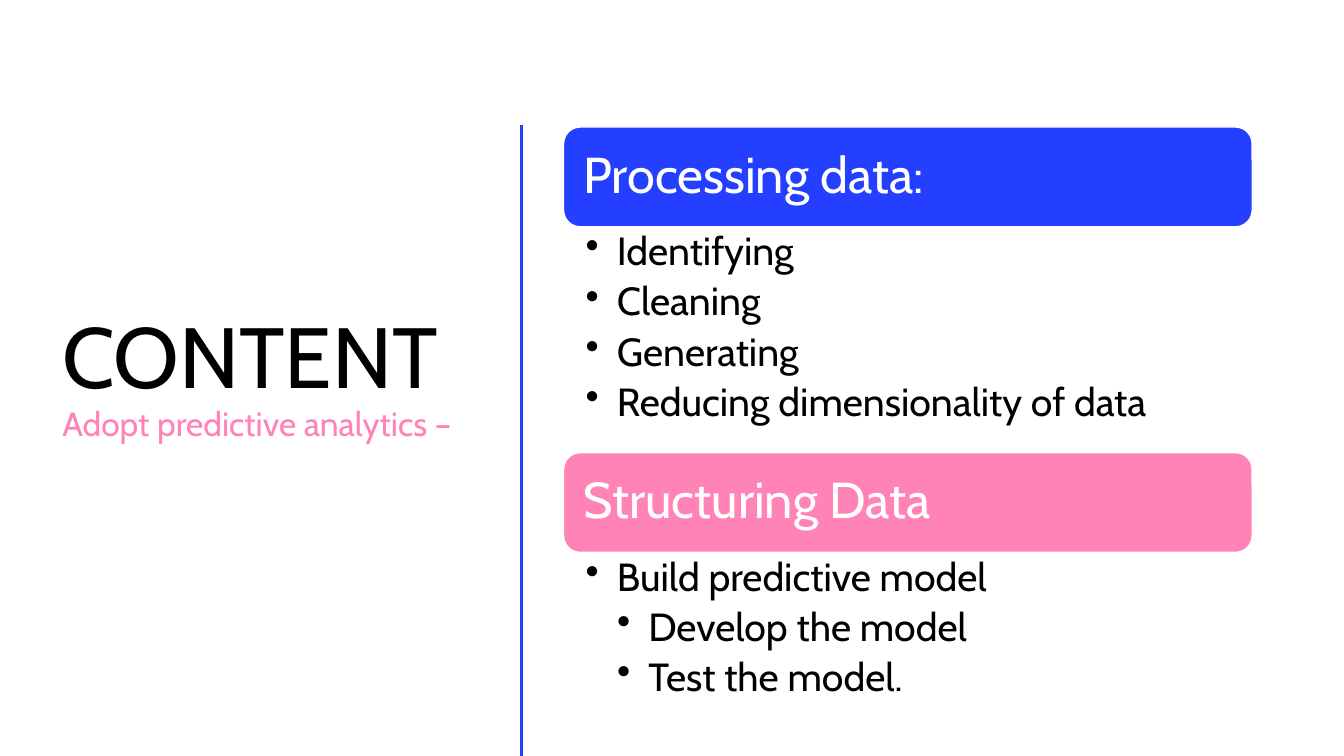
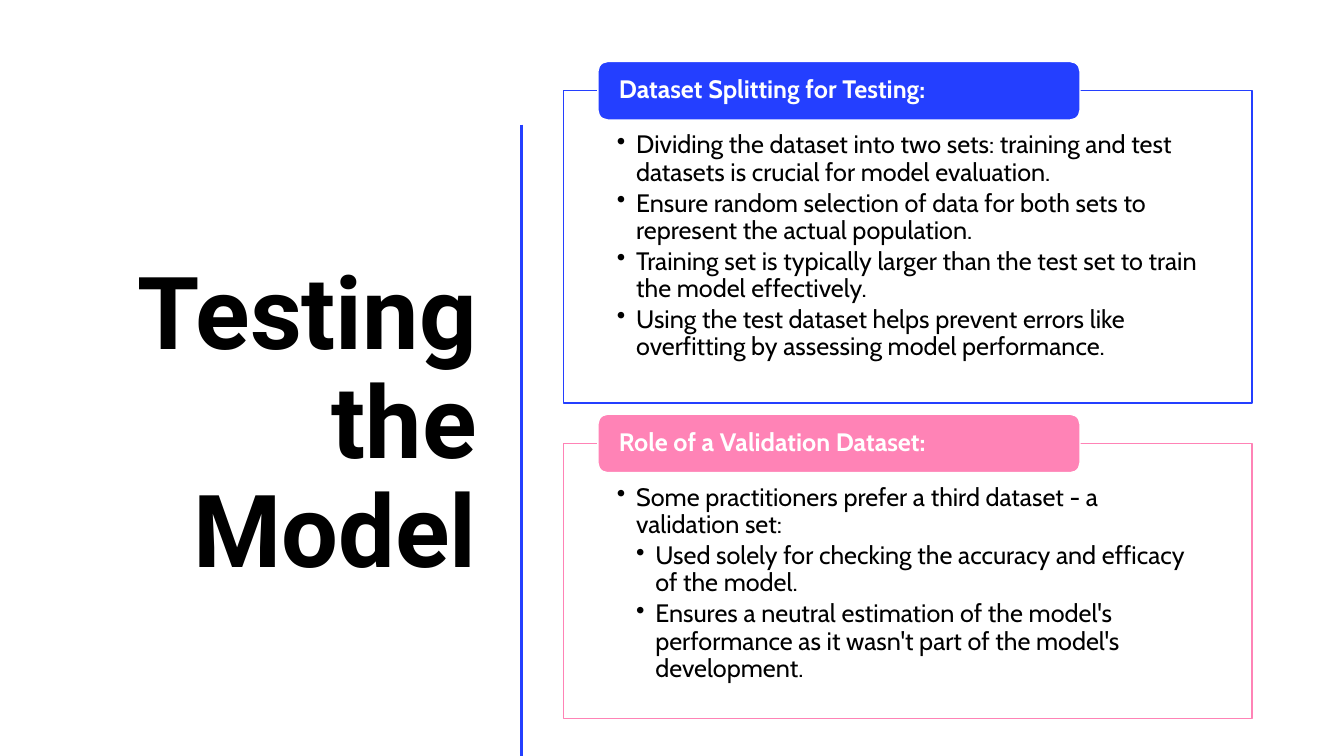
from dataclasses import dataclass

from lxml import etree
from pptx import Presentation
from pptx.dml.color import RGBColor
from pptx.enum.shapes import MSO_CONNECTOR, MSO_SHAPE
from pptx.enum.text import MSO_ANCHOR, PP_ALIGN
from pptx.oxml.ns import qn
from pptx.util import Inches, Pt

STRAIGHT = MSO_CONNECTOR.STRAIGHT
RECTANGLE, ROUNDED = MSO_SHAPE.RECTANGLE, MSO_SHAPE.ROUNDED_RECTANGLE
TOP, MIDDLE = MSO_ANCHOR.TOP, MSO_ANCHOR.MIDDLE
LEFT, RIGHT = PP_ALIGN.LEFT, PP_ALIGN.RIGHT

SLIDE_WIDTH, SLIDE_HEIGHT = Inches(13.33), Inches(7.5)


@dataclass(frozen=True)
class Theme:
    blue: RGBColor = RGBColor(0x24, 0x3F, 0xFF)
    pink: RGBColor = RGBColor(0xFF, 0x83, 0xB6)
    ink: RGBColor = RGBColor(0, 0, 0)
    paper: RGBColor = RGBColor(0xFF, 0xFF, 0xFF)
    body_font: str = "Cabin"
    display_font: str = "Roboto"
    agenda_title: int = 61
    agenda_subtitle: int = 24
    topic_title: int = 72
    bar_heading: int = 36
    bar_bullet: int = 28
    card_text: int = 18
    line_spacing: float = 0.9


THEME = Theme()
ACCENTS = (THEME.blue, THEME.pink)

# Shares of the slide's width or height, in percent
TITLE_BOX = (3.9, 15.6, 32.33, 81.47)
DIVIDER_X, DIVIDER_TOP = 38.8, 16.5
CONTENT_LEFT, CONTENT_WIDTH = 41.93, 51.24
BARS_TOP, BAR_HEIGHT = 16.8, 13.2
CARDS_TOP, CARD_GAP, TAB_HEIGHT = 12, 5.33, 7.73
TAB_OFFSET, TAB_WIDTH = 0.05 * CONTENT_WIDTH, 0.7 * CONTENT_WIDTH

# Heading, share of the height for the body, bullets as (level, text)
AGENDA = [
    ("Processing data:", 29.87, [
        (1, "Identifying"),
        (1, "Cleaning"),
        (1, "Generating"),
        (1, "Reducing dimensionality of data"),
    ]),
    ("Structuring Data", 22.8, [
        (1, "Build predictive model"),
        (2, "Develop the model"),
        (2, "Test the model."),
    ]),
]
TESTING = [
    ("Dataset Splitting for Testing:", 41.33, [
        (1, "Dividing the dataset into two sets: training and test datasets "
            "is crucial for model evaluation."),
        (1, "Ensure random selection of data for both sets to represent "
            "the actual population."),
        (1, "Training set is typically larger than the test set to train "
            "the model effectively."),
        (1, "Using the test dataset helps prevent errors like overfitting "
            "by assessing model performance."),
    ]),
    ("Role of a Validation Dataset:", 36.4, [
        (1, "Some practitioners prefer a third dataset - a validation set:"),
        (2, "Used solely for checking the accuracy and efficacy of the model."),
        (2, "Ensures a neutral estimation of the model's performance as it "
            "wasn't part of the model's development."),
    ]),
]


def across(share):
    return round(SLIDE_WIDTH * share / 100)


def down(share):
    return round(SLIDE_HEIGHT * share / 100)


def place(left, top, width, height):
    """Turn percent shares into the four lengths of a shape."""
    return across(left), down(top), across(width), down(height)


def set_frame(frame, insets, anchor):
    """Wrap the text; insets are left, top, right, bottom in inches."""
    frame.word_wrap = True
    frame.vertical_anchor = anchor
    (frame.margin_left, frame.margin_top,
     frame.margin_right, frame.margin_bottom) = map(Inches, insets)


def write(paragraph, text, size, color=THEME.ink, font=THEME.body_font,
          bold=False, align=LEFT):
    paragraph.text = text
    paragraph.alignment = align
    paragraph.line_spacing = THEME.line_spacing
    for run in paragraph.runs:
        run.font.name = font
        run.font.size = Pt(size)
        run.font.bold = bold
        run.font.color.rgb = color


def write_bullets(frame, bullets, size, indent, gap):
    """Fill the frame; gap is the space after, as a share of the type size."""
    for index, (level, text) in enumerate(bullets):
        paragraph = frame.add_paragraph() if index else frame.paragraphs[0]
        write(paragraph, text, size)
        paragraph.level = level
        paragraph.space_after = Pt(round(size * gap, 1))
        properties = paragraph._p.get_or_add_pPr()
        properties.set("marL", str(Inches(indent * level)))
        properties.set("indent", str(Inches(-indent)))
        etree.SubElement(properties, qn("a:buChar")).set("char", "•")


def add_box(slide, kind, box, fill, outline):
    shape = slide.shapes.add_shape(kind, *place(*box))
    shape.shadow.inherit = False
    shape.fill.solid()
    shape.fill.fore_color.rgb = fill
    shape.line.color.rgb = outline
    shape.line.width = Pt(1)
    return shape


def add_heading(slide, box, text, color, size, insets, bold=False):
    heading = add_box(slide, ROUNDED, box, color, THEME.paper)
    set_frame(heading.text_frame, insets, MIDDLE)
    write(heading.text_frame.paragraphs[0], text, size, THEME.paper, bold=bold)


def add_title(slide, bottom_inset=0.05):
    title = slide.shapes.add_textbox(*place(*TITLE_BOX)).text_frame
    set_frame(title, (0.1, 0.05, 0.1, bottom_inset), MIDDLE)
    return title


def add_divider(slide):
    x = across(DIVIDER_X)
    divider = slide.shapes.add_connector(
        STRAIGHT, x, down(DIVIDER_TOP), x, SLIDE_HEIGHT)
    divider.line.color.rgb = THEME.blue
    divider.line.width = Pt(2)
    etree.SubElement(divider._element.spPr, qn("a:effectLst"))


def add_bars(slide, sections):
    """Stack full-width headings, each with its bullets below."""
    top = BARS_TOP
    for (heading, body_height, bullets), color in zip(sections, ACCENTS):
        add_heading(slide, (CONTENT_LEFT, top, CONTENT_WIDTH, BAR_HEIGHT),
                    heading, color, THEME.bar_heading, (0.15,) * 4)
        top += BAR_HEIGHT
        body = slide.shapes.add_textbox(
            *place(CONTENT_LEFT, top, CONTENT_WIDTH, body_height)).text_frame
        set_frame(body, (0.22, 0.05, 0.28, 0.05), TOP)
        write_bullets(body, bullets, THEME.bar_bullet, 0.31, 0.2)
        top += body_height


def add_cards(slide, sections):
    """Stack outlined cards, each with a heading tab across its top edge."""
    top = CARDS_TOP
    for (heading, height, bullets), color in zip(sections, ACCENTS):
        card = add_box(slide, RECTANGLE,
                       (CONTENT_LEFT, top, CONTENT_WIDTH, height),
                       THEME.paper, color)
        set_frame(card.text_frame, (0.53, 0.41, 0.53, 0.14), TOP)
        write_bullets(card.text_frame, bullets, THEME.card_text, 0.19, 0.15)
        tab = (CONTENT_LEFT + TAB_OFFSET, top - TAB_HEIGHT / 2,
               TAB_WIDTH, TAB_HEIGHT)
        add_heading(slide, tab, heading, color, THEME.card_text,
                    (0.18, 0, 0.18, 0), bold=True)
        top += height + CARD_GAP


def build_agenda(slide):
    title = add_title(slide, bottom_inset=0.97)
    write(title.paragraphs[0], "CONTENT", THEME.agenda_title)
    write(title.add_paragraph(), "Adopt predictive analytics –",
          THEME.agenda_subtitle, THEME.pink)
    add_divider(slide)
    add_bars(slide, AGENDA)


def build_testing(slide):
    title = add_title(slide)
    write(title.paragraphs[0], "Testing the Model", THEME.topic_title,
          font=THEME.display_font, bold=True, align=RIGHT)
    add_divider(slide)
    add_cards(slide, TESTING)


def main():
    deck = Presentation()
    deck.slide_width, deck.slide_height = SLIDE_WIDTH, SLIDE_HEIGHT
    blank = deck.slide_layouts[6]
    for build in (build_agenda, build_testing):
        build(deck.slides.add_slide(blank))
    deck.save("out.pptx")


if __name__ == "__main__":
    main()
